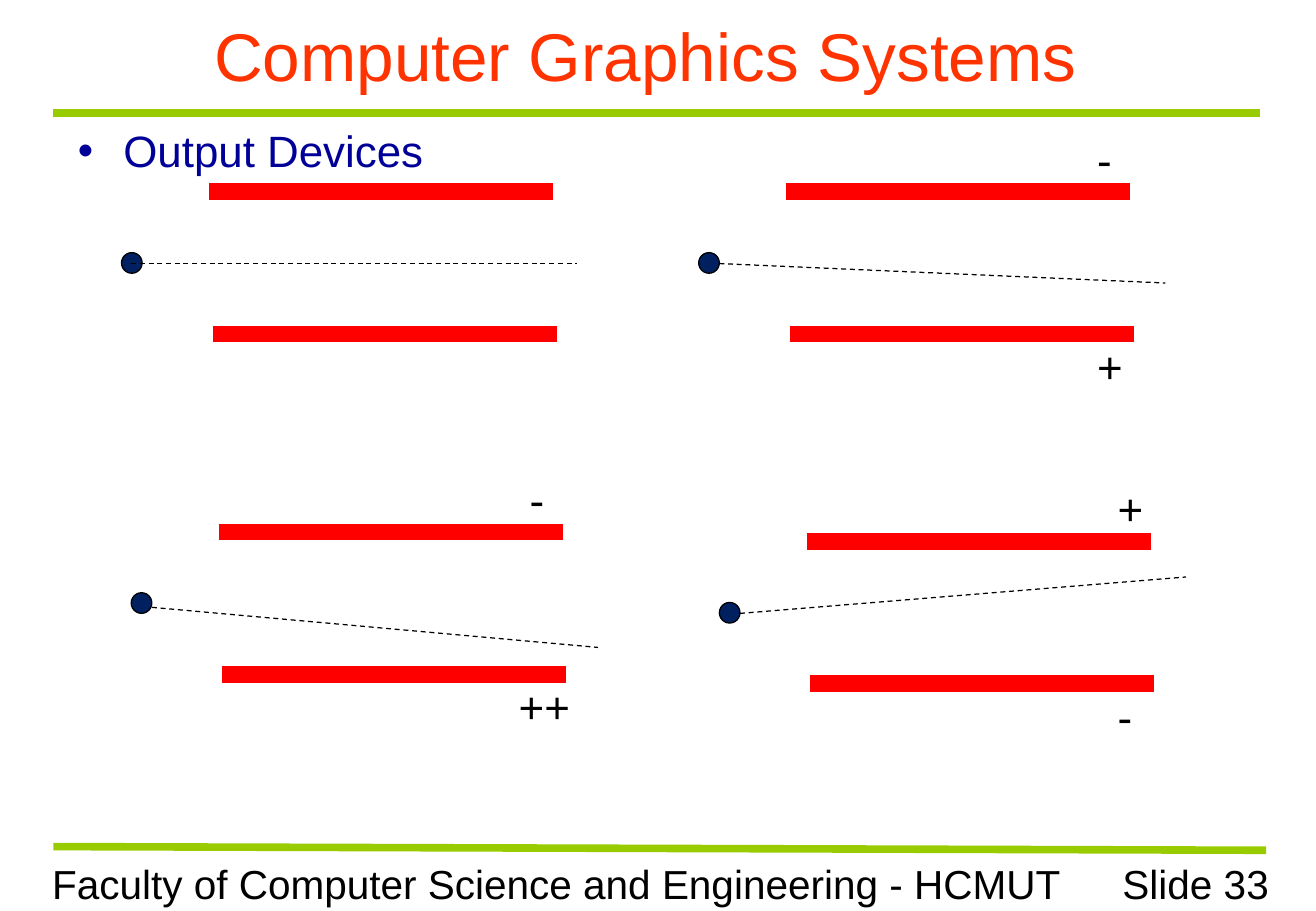
import pptx
import pptx.util
import pptx.dml.color
import pptx.enum.dml
import pptx.enum.shapes
import pptx.enum.text
import lxml.etree

Inches = pptx.util.Inches
Pt = pptx.util.Pt
Align = pptx.enum.text.PP_ALIGN
NS = "{http://schemas.openxmlformats.org/drawingml/2006/main}"


def tint(color, code):
    """Set a colour format from a hex string."""
    color.rgb = pptx.dml.color.RGBColor.from_string(code)


def write(frame, text, size, code, align=Align.LEFT):
    """Fill a text frame with one formatted line."""
    frame.text = text
    para = frame.paragraphs[0]
    para.alignment = align
    para.space_before = Pt(0)
    font = para.runs[0].font
    font.name = "Arial"
    font.size = Pt(size)
    tint(font.color, code)


def place(shape, x, y, w, h):
    """Move and size a shape in inches."""
    shape.left, shape.top = Inches(x), Inches(y)
    shape.width, shape.height = Inches(w), Inches(h)


def label(slide, text, x, y, w, h, size, align=Align.LEFT, wrap=True):
    """Add a black text box."""
    box = slide.shapes.add_textbox(Inches(x), Inches(y), Inches(w), Inches(h))
    box.text_frame.word_wrap = wrap
    write(box.text_frame, text, size, "000000", align)


def rule(slide, x1, y1, x2, y2, code, width, dash=False):
    """Add a straight line without a shadow."""
    line = slide.shapes.add_connector(
        pptx.enum.shapes.MSO_CONNECTOR.STRAIGHT,
        Inches(x1), Inches(y1), Inches(x2), Inches(y2))
    tint(line.line.color, code)
    line.line.width = Pt(width)
    if dash:
        line.line.dash_style = pptx.enum.dml.MSO_LINE.DASH
    lxml.etree.SubElement(line._element.spPr, NS + "effectLst")


def header(slide, x, y, w):
    """Place the title and the rule below it."""
    title = slide.shapes.title
    place(title, x, y, w, 0.7)
    frame = title.text_frame
    frame.auto_size = pptx.enum.text.MSO_AUTO_SIZE.NONE
    frame.vertical_anchor = pptx.enum.text.MSO_ANCHOR.MIDDLE
    write(frame, "Computer Graphics Systems", 40, "FF3300", Align.CENTER)
    rule(slide, x + 0.11, y + 0.83, x + 10.04, y + 0.83, "99CC00", 4.5)


def topic(slide, x, y, w, h):
    """Place the bulleted heading."""
    body = slide.placeholders[1]
    place(body, x, y, w, h)
    frame = body.text_frame
    frame.auto_size = pptx.enum.text.MSO_AUTO_SIZE.NONE
    props = frame.paragraphs[0]._p.get_or_add_pPr()
    props.set("marL", str(Inches(0.38)))
    props.set("indent", str(Inches(-0.38)))
    color = lxml.etree.SubElement(props, NS + "buClr")
    lxml.etree.SubElement(color, NS + "srgbClr", val="FF3300")
    lxml.etree.SubElement(props, NS + "buFont", typeface="Arial")
    lxml.etree.SubElement(props, NS + "buChar", char="❑")
    write(frame, "Output Devices", 26, "000099")


def panel(slide, x, y, upper, lower, start, drop):
    """Draw two plates, an electron, its beam and the plate signs."""
    for dx, dy in ((0.72, 0), (0.75, 1.17)):
        rule(slide, x + dx, y + dy, x + dx + 2.83, y + dy, "FF0000", 10)
    ball = slide.shapes.add_shape(
        pptx.enum.shapes.MSO_SHAPE.OVAL,
        Inches(x), Inches(y + 0.5), Inches(0.17), Inches(0.17))
    ball.shadow.inherit = False
    ball.fill.solid()
    tint(ball.fill.fore_color, "002060")
    tint(ball.line.color, "000000")
    ball.line.width = Pt(0.75)
    dx, dy = start
    rule(slide, x + dx, y + dy, x + dx + 3.67, y + dy + drop, "000000", 0.75, True)
    sizes = {"-": (3.18, 0.32), "+": (3.18, 0.41), "++": (3.09, 0.65)}
    for sign, dy in ((upper, -0.54), (lower, 1.17)):
        if sign:
            dx, w = sizes[sign]
            label(slide, sign, x + dx, y + dy, w, 0.54, 26, wrap=False)


def footer(slide, x, y):
    """Draw the bottom rule, the faculty and the slide number."""
    rule(slide, x + 0.11, y - 0.05, x + 10.09, y - 0.02, "99CC00", 4.5)
    label(slide, "Faculty of Computer Science and Engineering - HCMUT",
          x, y, 8.52, 0.5, 24)
    label(slide, "Slide 33", x + 8.22, y, 1.99, 0.5, 24, Align.RIGHT)


def main():
    """Build and save the slide."""
    deck = pptx.Presentation()
    deck.slide_width, deck.slide_height = Inches(10.83), Inches(7.5)
    slide = deck.slides.add_slide(deck.slide_layouts[1])
    header(slide, 0.33, 0.1, 9.96)
    topic(slide, 0.54, 0.97, 9.75, 0.62)
    panel(slide, 1, 1.58, "", "", (0.08, 0.59), 0)
    panel(slide, 5.75, 1.58, "-", "+", (0.17, 0.59), 0.16)
    panel(slide, 1.08, 4.38, "-", "++", (0.17, 0.62), 0.33)
    panel(slide, 5.92, 4.46, "+", "-", (0.17, 0.59), -0.3)
    footer(slide, 0.33, 7.02)
    deck.save("out.pptx")


if __name__ == "__main__":
    main()
